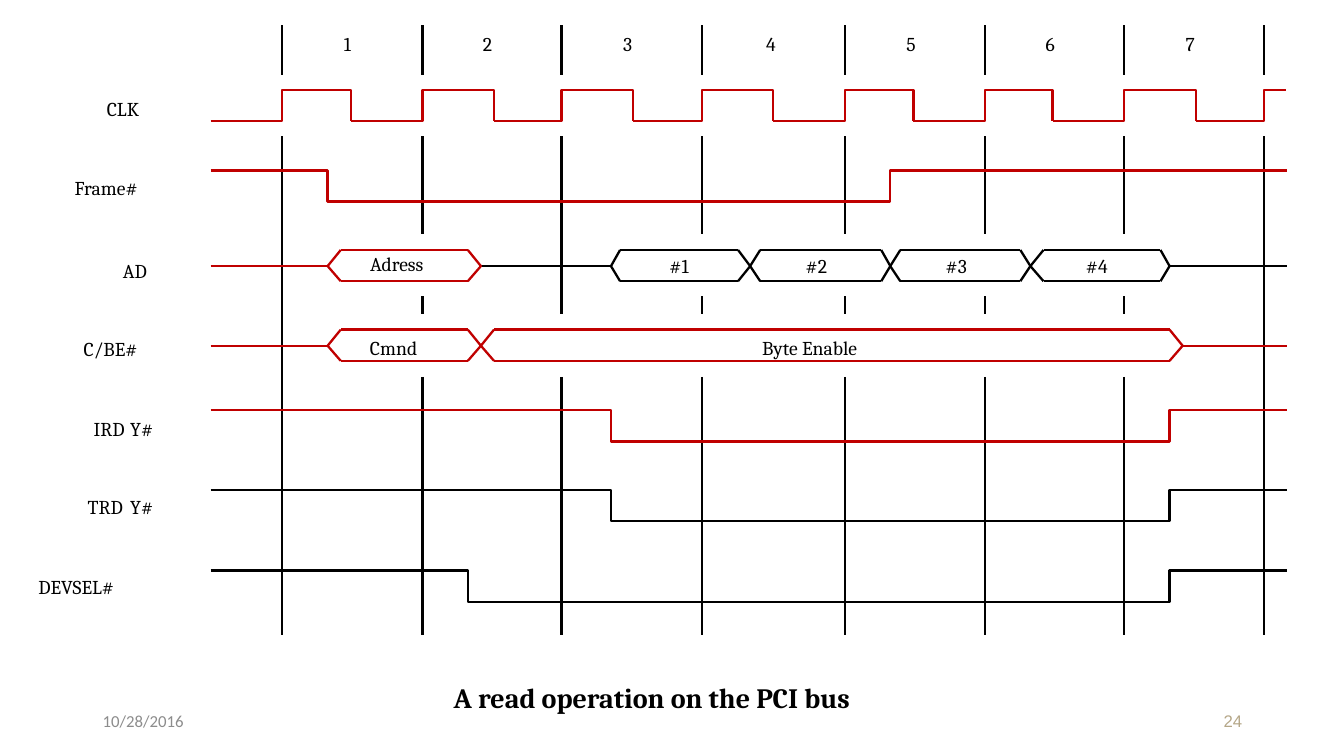
from pptx import Presentation
from pptx.dml.color import RGBColor
from pptx.enum.shapes import MSO_CONNECTOR as CONN
from pptx.enum.text import MSO_ANCHOR as ANCHOR, PP_ALIGN as ALIGN
from pptx.oxml.ns import qn
from pptx.util import Pt
from lxml import etree

PX = 9144  # 100 px to the inch
BLACK = RGBColor(0x00, 0x00, 0x00)
RED = RGBColor(0xC0, 0x00, 0x00)
GREY = RGBColor(0x8C, 0x8C, 0x8C)
SAND = RGBColor(0xB5, 0xA7, 0x88)

LABEL = dict(name="Cambria", size=Pt(14))
TITLE = dict(name="Cambria", size=Pt(20), bold=True)
DATE = dict(name="Calibri", size=Pt(12))
NUMBER = dict(name="Arial", size=Pt(12))

# Wave area, and the times along it counted from its left side
WAVE_X, WAVE_W, HIGH = 209, 1067, 31
ROW_TOPS = [89, 169, 248, 327, 407, 486, 566]
RISES = [71, 210, 348, 487, 629, 768, 906, 1045]
FALLS = [139, 281, 419, 558, 697, 835, 977]

# Label parts as (text, left, width), and label offset below the row top
LABELS = [
    ([("CLK", 106, 56)], 7),
    ([("Frame#", 74, 98)], 6),
    ([("AD", 122, 40)], 9),
    ([("C/BE#", 83, 83)], 7),
    ([("IRD", 93, 36), ("Y#", 129, 35)], 7),
    ([("TRD", 87, 42), ("Y#", 129, 35)], 5),
    ([("DEVSEL#", 38, 129)], 4),
]
# Row, fall, rise, colour
STROBES = [(1, 116, 674, RED), (4, 397, 951, RED),
           (5, 397, 951, BLACK), (6, 255, 951, BLACK)]
# Corner times of each cell, colour, then text with its left, offset and width
AD_CELLS = [
    ((116, 129, 255, 268), RED, ("Adress", 158, 2, 89)),
    ((397, 406, 523, 535), BLACK, ("#1", 455, 4, 32)),
    ((535, 545, 665, 674), BLACK, ("#2", 590, 4, 32)),
    ((674, 684, 803, 813), BLACK, ("#3", 729, 4, 32)),
    ((813, 826, 942, 951), BLACK, ("#4", 868, 4, 32)),
]
AD_WIRES = [(0, 116, RED), (268, 397, BLACK), (951, WAVE_W, BLACK)]
CBE_CELLS = [
    ((116, 129, 255, 268), RED, ("Cmnd", 158, 6, 76)),
    ((268, 281, 951, 964), RED, ("Byte Enable", 547, 6, 106)),
]
CBE_WIRES = [(0, 116, RED), (964, WAVE_W, RED)]


def add_text(s, text, box, fmt, color=BLACK, inset=(0, 0),
             anchor=ANCHOR.TOP, align=ALIGN.LEFT):
    tf = s.shapes.add_textbox(*(v * PX for v in box)).text_frame
    tf.word_wrap = True
    tf.vertical_anchor = anchor
    tf.margin_left = tf.margin_right = inset[0] * PX
    tf.margin_top = tf.margin_bottom = inset[1] * PX
    p = tf.paragraphs[0]
    p.alignment = align
    r = p.add_run()
    r.text = text
    for key, value in fmt.items():
        setattr(r.font, key, value)
    r.font.color.rgb = color


def set_line(sp, color):
    sp.line.color.rgb = color
    sp.line.width = Pt(1.63)


def add_line(s, x1, y1, x2, y2, color=BLACK):
    sp = s.shapes.add_connector(CONN.STRAIGHT, *(v * PX for v in (x1, y1, x2, y2)))
    set_line(sp, color)
    etree.SubElement(sp._element.spPr, qn("a:effectLst"))


def add_outline(s, points, color):
    fb = s.shapes.build_freeform(*points[0], scale=PX)
    fb.add_line_segments(points[1:], close=False)
    sp = fb.convert_to_shape()
    sp.shadow.inherit = False
    sp.fill.background()
    set_line(sp, color)


def draw_grid(s, x):
    for i, rise in enumerate(RISES):
        if rise in (RISES[0], RISES[-1]):
            spans = [(135, 630)]
        elif i == 2:
            spans = [(135, 312), (374, 630)]
        else:
            spans = [(135, 232), (294, 312), (374, 630)]
        for top, bottom in [(25, 74)] + spans:
            add_line(s, x + rise, top, x + rise, bottom)
    # Cycle numbers, each set back from the end of its cycle
    for n, end in enumerate(RISES[1:], 1):
        add_text(s, str(n), (x + end - 78, 32, 16, 24), LABEL)


def draw_labels(s):
    for top, (parts, dy) in zip(ROW_TOPS, LABELS):
        for text, left, width in parts:
            add_text(s, text, (left, top + dy, width, 24), LABEL)


def draw_clock(s, x, y):
    low = y + HIGH
    # One pulse per cycle; the last one is cut off while high
    for start, rise, fall in zip([0] + FALLS, RISES, FALLS + [WAVE_W]):
        points = [(x + start, low), (x + rise, low), (x + rise, y), (x + fall, y)]
        if fall != WAVE_W:
            points.append((x + fall, low))
        add_outline(s, points, RED)


def draw_strobe(s, x, y, fall, rise, color):
    low = y + HIGH
    add_outline(s, [(x, y), (x + fall, y), (x + fall, low), (x + rise, low),
                    (x + rise, y), (x + WAVE_W, y)], color)


def draw_bus(s, x, y, cells, wires):
    mid, low = y + HIGH // 2 + 1, y + HIGH
    for start, end, color in wires:
        add_line(s, x + start, mid, x + end, mid, color)
    for times, color, (text, left, dy, width) in cells:
        a, b, c, d = (x + t for t in times)
        for flat, tip in ((b, a), (c, d)):
            add_outline(s, [(flat, y), (tip, mid), (flat, low)], color)
        for edge in (y, low):
            add_line(s, b, edge, c, edge, color)
        add_text(s, text, (x + left, y + dy, width, 24), LABEL)


def draw_footer(s):
    add_text(s, "A read operation on the PCI bus", (450, 675, 483, 33), TITLE)
    add_text(s, "10/28/2016", (92, 695, 300, 40), DATE, GREY, (10, 5), ANCHOR.MIDDLE)
    add_text(s, "24", (942, 695, 300, 40), NUMBER, SAND, (10, 5),
             ANCHOR.MIDDLE, ALIGN.RIGHT)


def main():
    prs = Presentation()
    prs.slide_width, prs.slide_height = 1333 * PX, 750 * PX
    s = prs.slides.add_slide(prs.slide_layouts[6])
    draw_grid(s, WAVE_X)
    draw_labels(s)
    draw_clock(s, WAVE_X, ROW_TOPS[0])
    for row, fall, rise, color in STROBES:
        draw_strobe(s, WAVE_X, ROW_TOPS[row], fall, rise, color)
    draw_bus(s, WAVE_X, ROW_TOPS[2], AD_CELLS, AD_WIRES)
    draw_bus(s, WAVE_X, ROW_TOPS[3], CBE_CELLS, CBE_WIRES)
    draw_footer(s)
    prs.save("out.pptx")


if __name__ == "__main__":
    main()
